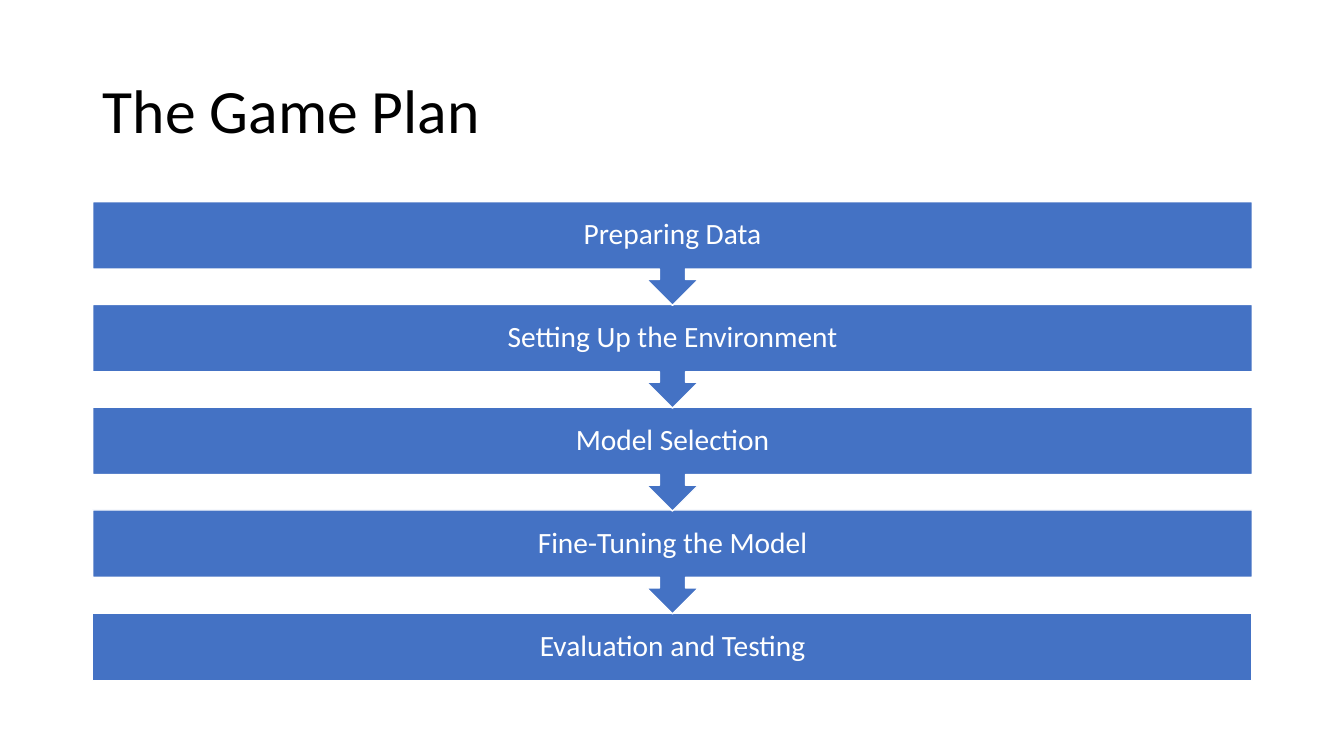
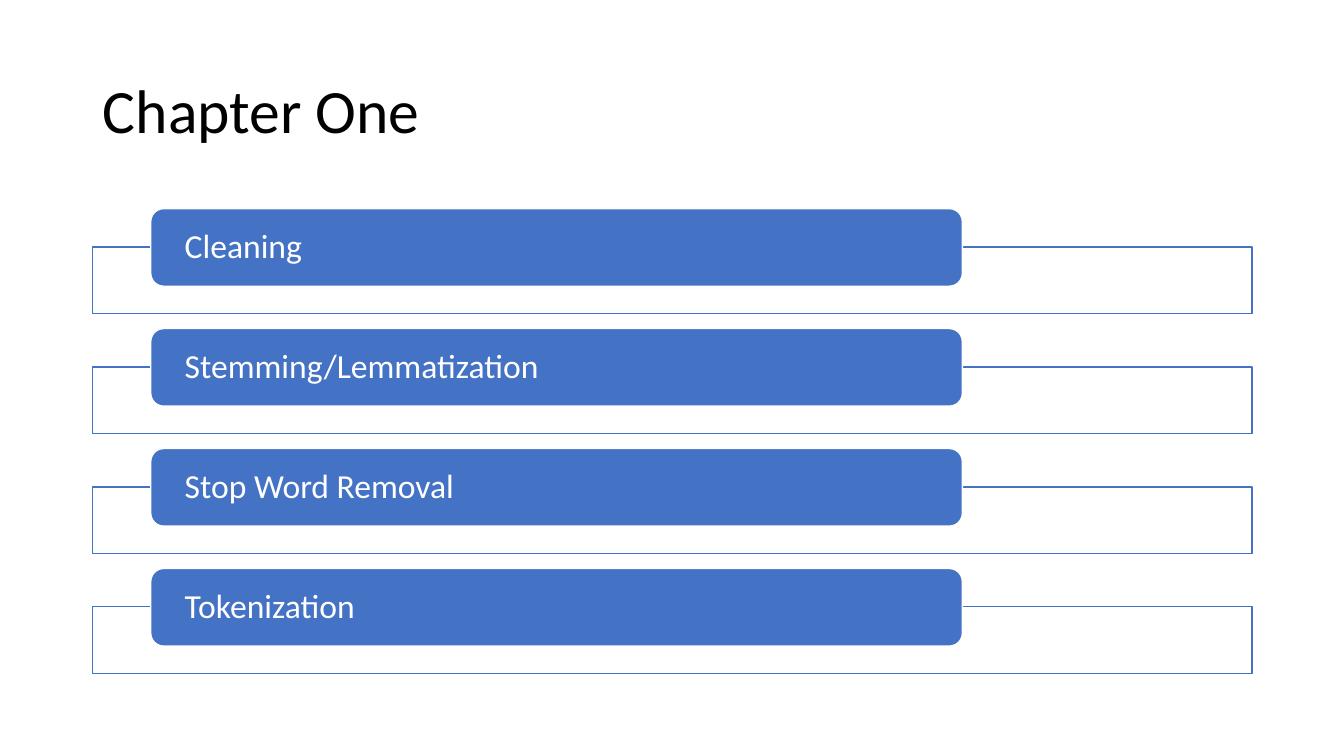
from pptx import Presentation
from pptx.dml.color import RGBColor
from pptx.enum.shapes import MSO_SHAPE
from pptx.enum.text import MSO_ANCHOR, MSO_AUTO_SIZE, PP_ALIGN
from pptx.util import Inches, Pt

RECT = MSO_SHAPE.RECTANGLE
ROUND = MSO_SHAPE.ROUNDED_RECTANGLE
CALLOUT = MSO_SHAPE.DOWN_ARROW_CALLOUT
MIDDLE = MSO_ANCHOR.MIDDLE
FIXED = MSO_AUTO_SIZE.NONE
LEFT, CENTER = PP_ALIGN.LEFT, PP_ALIGN.CENTER

HUES = {"text": "000000", "main": "4472C4", "page": "FFFFFF"}
FACE = "Calibri"
TITLE_BOX = (0.92, 0.4, 11.5, 1.45)
FLOW_BOX = (0.92, 2, 11.5, 4.75)
LIST_BOX = (0.92, 2.07, 11.5, 4.61)
STEPS = ["Preparing Data", "Setting Up the Environment", "Model Selection",
         "Fine-Tuning the Model", "Evaluation and Testing"]
TASKS = ["Cleaning", "Stemming/Lemmatization", "Stop Word Removal",
         "Tokenization"]


def color(name):
    """Return the named colour."""
    return RGBColor.from_string(HUES[name])


def apply(item, values):
    """Set each attribute in values on item."""
    for name, value in values.items():
        setattr(item, name, value)


def write(shape, text, size, hue, align, inset):
    """Put one formatted line of text in a shape, with (side, end) insets."""
    side, end = map(Inches, inset)
    frame = shape.text_frame
    frame.text = text
    apply(frame, {"word_wrap": True, "auto_size": FIXED,
                  "vertical_anchor": MIDDLE,
                  "margin_left": side, "margin_right": side,
                  "margin_top": end, "margin_bottom": end})
    line = frame.paragraphs[0]
    apply(line, {"alignment": align, "line_spacing": 0.9})
    font = line.runs[0].font
    apply(font, {"name": FACE, "size": Pt(size)})
    font.color.rgb = color(hue)


def block(slide, kind, box, fill, edge):
    """Add a flat filled shape with a thin outline."""
    shape = slide.shapes.add_shape(kind, *map(Inches, box))
    shape.shadow.inherit = False
    shape.fill.solid()
    shape.fill.fore_color.rgb = color(fill)
    shape.line.color.rgb = color(edge)
    shape.line.width = Pt(1)
    return shape


def page(deck, title):
    """Add a slide with the shared title style."""
    slide = deck.slides.add_slide(deck.slide_layouts[5])
    head = slide.shapes.title
    names = ("left", "top", "width", "height")
    apply(head, dict(zip(names, map(Inches, TITLE_BOX))))
    write(head, title, 44, "text", LEFT, (0.1, 0.05))
    return slide


def flow(slide, box, steps):
    """Stack full-width bars, each pointing down to the next."""
    left, top, width, height = box
    bar, lap = 0.67, 0.01
    pitch = (height - bar) / (len(steps) - 1)
    last = len(steps) - 1
    for i, step in reversed(list(enumerate(steps))):
        kind, tall = (RECT, bar) if i == last else (CALLOUT, pitch + lap)
        place = (left, top + i * pitch, width, tall)
        shape = block(slide, kind, place, "main", "page")
        write(shape, step, 21, "page", CENTER, (0.16, 0.16))


def tabs(slide, box, tasks):
    """Stack outlined frames, each with a rounded label over its top edge."""
    left, top, width, height = box
    drop, frame, label = 0.38, 0.66, 0.77
    pitch = (height - drop - frame) / (len(tasks) - 1)
    for i, task in enumerate(tasks):
        y = top + i * pitch
        block(slide, RECT, (left, y + drop, width, frame), "page", "main")
        place = (left + width * 0.05, y, width * 0.7, label)
        shape = block(slide, ROUND, place, "main", "page")
        write(shape, task, 24, "page", LEFT, (0.3, 0))


def main():
    """Build and save the deck."""
    deck = Presentation()
    apply(deck, {"slide_width": Inches(13.33), "slide_height": Inches(7.5)})
    flow(page(deck, "The Game Plan"), FLOW_BOX, STEPS)
    tabs(page(deck, "Chapter One"), LIST_BOX, TASKS)
    deck.save("out.pptx")


if __name__ == "__main__":
    main()
